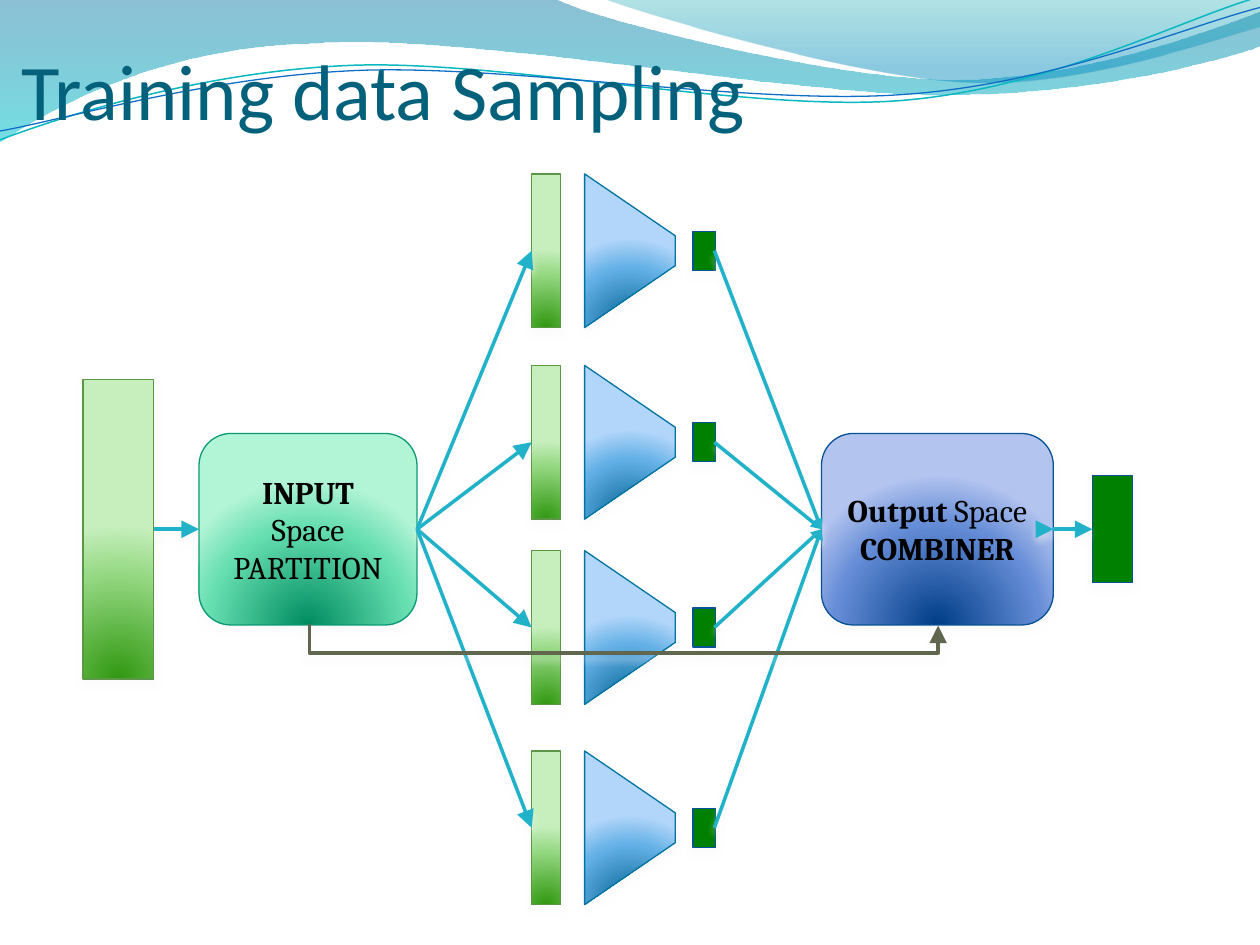
import math
from dataclasses import dataclass

import pptx
import pptx.dml.color
import pptx.enum.shapes
import pptx.enum.text
import pptx.oxml
import pptx.oxml.ns
import pptx.util
from pptx.util import Inches

SHAPE = pptx.enum.shapes.MSO_SHAPE
CONNECTOR = pptx.enum.shapes.MSO_CONNECTOR
ALIGN = pptx.enum.text.PP_ALIGN
ANCHOR = pptx.enum.text.MSO_ANCHOR
NS = pptx.oxml.ns.nsdecls("a")


@dataclass(frozen=True)
class Style:
    """Fill (a colour or radial gradient stops) and outline colour."""
    fill: object
    line: str


@dataclass(frozen=True)
class Theme:
    title_font: str = "Calibri"
    body_font: str = "Cambria"
    title_size: float = 45
    body_size: float = 18
    title: str = "04617B"
    text: str = "000000"
    arrow: str = "21B2C9"
    bypass: str = "61674F"
    shadow: str = "F8F8F8"
    data: Style = Style(((0, "319811"), (68, "95D882"), (100, "C6EFBD")), "5B9747")
    model: Style = Style(((0, "006091"), (68, "64B1E7"), (100, "B1D6F9")), "0074A1")
    partition: Style = Style(((0, "008C60"), (68, "65DEB0"), (100, "B2F4D6")), "0A9B74")
    combiner: Style = Style(((0, "003D87"), (68, "668DD7"), (100, "B3C4EF")), "095295")
    result: Style = Style("008000", "095295")


T = Theme()

MID_Y = 4.2
ROW_CENTERS = (1.99, 3.51, 4.98, 6.57)
WAVE_TILT = -2.7

# Each step is a point (x, y) or a cubic curve (x1, y1, x2, y2, x, y).
WAVE_BANDS = (
    ([(0, 0), (4.4, -0.01), (4.76, 0.17, 6.64, 0.63, 7.58, 0.63),
      (8.53, 0.63, 9.58, 0.26, 10, 0.09), (10.01, 0.36),
      (9.83, 0.44, 8.7, 0.76, 7.46, 0.75), (6.22, 0.75, 3.82, 0.28, 2.57, 0.34),
      (1.29, 0.36, 0.46, 0.83, -0.01, 1.13)],
     ((0, "0074A1", 45), (100, "00C6CF", 55))),
    ([(4.79, -0.01), (5.09, 0.11, 6.82, 0.62, 7.69, 0.65),
      (8.56, 0.69, 9.61, 0.32, 10, 0.21), (10, 0)],
     ((0, "00A1A9", 30), (80, "008BBF", 45))),
)
WAVE_LINES = (
    ([(0, 1.11), (0.48, 0.93, 1.58, 0.57, 2.77, 0.52), (3.95, 0.47, 5.93, 0.89, 7.13, 0.8),
      (8.33, 0.71, 9.38, 0.15, 9.98, -0.02)], "0AB8BF", 0.85),
    ([(0, 1.04), (0.47, 0.96, 1.64, 0.61, 2.83, 0.56), (4.03, 0.51, 5.97, 0.84, 7.17, 0.75),
      (8.36, 0.67, 9.41, 0.21, 10, 0.06)], "0F6FC6", 0.75),
)


def rgb(value):
    return pptx.dml.color.RGBColor.from_string(value)


def add_text(p, text, size=T.body_size, font=T.body_font, color=T.text, bold=False):
    r = p.add_run()
    r.text = text
    r.font.size, r.font.name, r.font.bold = pptx.util.Pt(size), font, bold
    r.font.color.rgb = rgb(color)


def set_line(sp, color, width):
    sp.line.color.rgb = rgb(color)
    sp.line.width = pptx.util.Pt(width)


def set_gradient(sp, stops, direction):
    """Fill with (position, colour[, opacity]) stops, all in percent."""
    marks = "".join(
        f'<a:gs pos="{pos * 1000}"><a:srgbClr val="{color}">'
        f'<a:alpha val="{(alpha or [100])[0] * 1000}"/></a:srgbClr></a:gs>'
        for pos, color, *alpha in stops)
    sp.fill.background()
    old = sp._element.spPr.find(pptx.oxml.ns.qn("a:noFill"))
    old.getparent().replace(old, pptx.oxml.parse_xml(
        f'<a:gradFill {NS} rotWithShape="1"><a:gsLst>{marks}</a:gsLst>{direction}</a:gradFill>'))


def add_shadow(sp):
    sp._element.spPr.append(pptx.oxml.parse_xml(
        f'<a:effectLst {NS}><a:outerShdw blurRad="57150" dist="38100" dir="5400000" '
        f'algn="ctr" rotWithShape="0"><a:srgbClr val="{T.shadow}"><a:alpha val="48000"/>'
        f'</a:srgbClr></a:outerShdw></a:effectLst>'))


def add_block(shapes, kind, x, y, w, h, style):
    """Add a shaded shape centred on y."""
    sp = shapes.add_shape(kind, Inches(x), Inches(y - h / 2), Inches(w), Inches(h))
    if isinstance(style.fill, str):
        sp.fill.solid()
        sp.fill.fore_color.rgb = rgb(style.fill)
    else:
        set_gradient(sp, style.fill, '<a:path path="circle"><a:fillToRect l="50000" '
                     't="130000" r="50000" b="-30000"/></a:path>')
    set_line(sp, style.line, 0.75)
    add_shadow(sp)
    return sp


def add_stage(shapes, x, w, style, *paragraphs):
    """Add a rounded box; each paragraph is a list of (text, bold) runs."""
    sp = add_block(shapes, SHAPE.ROUNDED_RECTANGLE, x, MID_Y, w, 1.52, style)
    tf = sp.text_frame
    tf.word_wrap, tf.vertical_anchor = True, ANCHOR.MIDDLE
    for i, runs in enumerate(paragraphs):
        p = tf.add_paragraph() if i else tf.paragraphs[0]
        p.alignment = ALIGN.CENTER
        for text, bold in runs:
            add_text(p, text, bold=bold)


def add_model_row(shapes, y):
    """Add one group: sampled data, the model trained on it, its result."""
    members = shapes.add_group_shape().shapes
    add_block(members, SHAPE.RECTANGLE, 5.5, y, 0.18, 0.31, T.result)
    model = add_block(members, SHAPE.TRAPEZOID, 4.39, y, 1.22, 0.72, T.model)
    model.adjustments[0] = 0.683
    model.rotation = 90
    add_block(members, SHAPE.RECTANGLE, 4.22, y, 0.23, 1.22, T.data)


def add_arrow(shapes, start, end, color=T.arrow, kind=CONNECTOR.STRAIGHT, tip="tailEnd",
              size="lg"):
    cx = shapes.add_connector(kind, *map(Inches, (*start, *end)))
    set_line(cx, color, 2)
    cx.line._get_or_add_ln().append(pptx.oxml.parse_xml(
        f'<a:{tip} {NS} type="triangle" w="{size}" len="{size}"/>'))
    add_shadow(cx)
    return cx


def add_bypass(shapes, x1, x2, y, drop):
    """Add an elbow arrow that leaves x1 downwards and rises into x2."""
    mid, half, thin = (x1 + x2) / 2, (x2 - x1) / 2, 0.01
    cx = add_arrow(shapes, (mid + thin, y - half), (mid, y + half), T.bypass, CONNECTOR.ELBOW)
    cx._element.spPr.xfrm.set("rot", "16200000")
    geom = cx._element.spPr.find(pptx.oxml.ns.qn("a:prstGeom"))
    guides = geom.find(pptx.oxml.ns.qn("a:avLst"))
    guides.append(pptx.oxml.parse_xml(
        f'<a:gd {NS} name="adj1" fmla="val {round(drop / thin * 100000)}"/>'))


def turn_step(step, degrees, cx=5, cy=0.58):
    """Rotate every point of a step clockwise about (cx, cy)."""
    cos, sin = math.cos(math.radians(degrees)), math.sin(math.radians(degrees))
    turned = []
    for x, y in zip(step[::2], step[1::2]):
        dx, dy = x - cx, y - cy
        turned += [cx + dx * cos - dy * sin, cy + dx * sin + dy * cos]
    return turned


def add_curve(shapes, steps, close):
    """Build an outline through the end points, then bend its curved segments."""
    ends = [tuple(map(Inches, step[-2:])) for step in steps]
    builder = shapes.build_freeform(*ends[0])
    builder.add_line_segments(ends[1:], close=close)
    sp = builder.convert_to_shape()
    sp.shadow.inherit = False
    segments = list(sp._element.spPr.iter(pptx.oxml.ns.qn("a:lnTo")))
    for segment, step in zip(segments, steps[1:]):
        if len(step) == 6:
            points = "".join(f'<a:pt x="{Inches(x) - sp.left}" y="{Inches(y) - sp.top}"/>'
                             for x, y in zip(step[::2], step[1::2]))
            segment.getparent().replace(segment, pptx.oxml.parse_xml(
                f'<a:cubicBezTo {NS}>{points}</a:cubicBezTo>'))
    return sp


def add_waves(shapes):
    for steps, stops in WAVE_BANDS:
        band = add_curve(shapes, steps, True)
        set_gradient(band, stops, '<a:lin ang="5400000" scaled="1"/>')
        band.line.fill.background()
    lines = shapes.add_group_shape().shapes
    for steps, color, width in WAVE_LINES:
        wave = add_curve(lines, [turn_step(step, -WAVE_TILT) for step in steps], False)
        wave.rotation = WAVE_TILT
        wave.fill.background()
        set_line(wave, color, width)


def add_title(s, text):
    title = s.shapes.title
    title.left, title.top, title.width, title.height = map(Inches, (0.17, 0.25, 8.53, 0.83))
    tf = title.text_frame
    tf.margin_left = tf.margin_right = tf.margin_bottom = 0
    tf.vertical_anchor, tf.word_wrap = ANCHOR.BOTTOM, True
    tf.auto_size = pptx.enum.text.MSO_AUTO_SIZE.NONE
    p = tf.paragraphs[0]
    p.alignment = ALIGN.LEFT
    add_text(p, text, size=T.title_size, font=T.title_font, color=T.title)
    s.shapes._spTree.append(title._element)  # bring in front of the waves


def main():
    prs = pptx.Presentation()
    prs.slide_width, prs.slide_height = Inches(10), Inches(7.5)
    s = prs.slides.add_slide(prs.slide_layouts[5])
    shapes = s.shapes
    add_waves(shapes)
    add_title(s, "Training data Sampling")

    for y in ROW_CENTERS:
        add_model_row(shapes, y)
    add_block(shapes, SHAPE.RECTANGLE, 0.66, MID_Y, 0.56, 2.38, T.data)
    add_stage(shapes, 1.58, 1.73, T.partition, [("INPUT", True)], [("Space PARTITION", False)])
    add_stage(shapes, 6.52, 1.84, T.combiner,
              [("Output", True), (" Space ", False), ("COMBINER", True)])
    add_block(shapes, SHAPE.RECTANGLE, 8.67, MID_Y, 0.32, 0.85, T.result)

    for y in ROW_CENTERS:
        add_arrow(shapes, (3.31, MID_Y), (4.22, y))
        add_arrow(shapes, (6.52, MID_Y), (5.67, y), tip="headEnd", size="med")
    for x1, x2 in ((1.22, 1.58), (8.22, 8.36), (8.36, 8.67)):
        add_arrow(shapes, (x1, MID_Y), (x2, MID_Y))
    add_bypass(shapes, 2.45, 7.44, 4.96, 0.23)

    prs.save("out.pptx")


if __name__ == "__main__":
    main()
